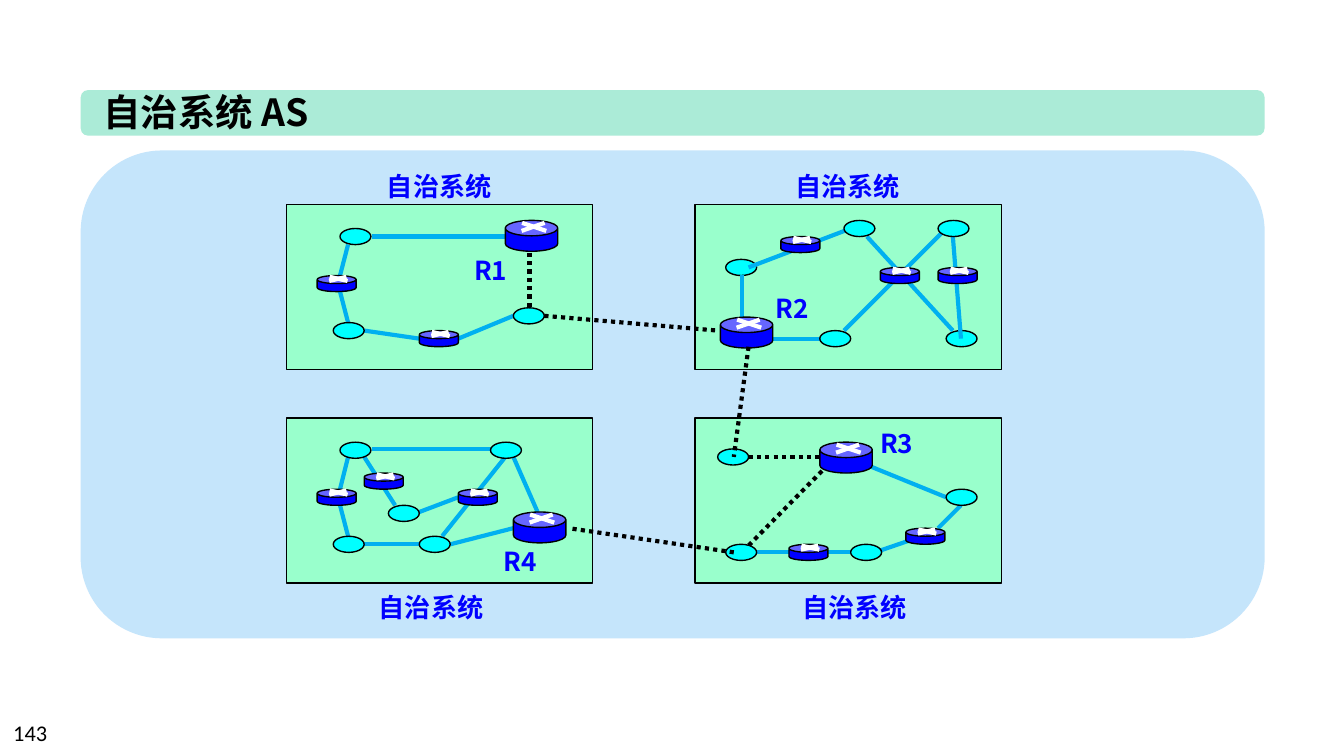
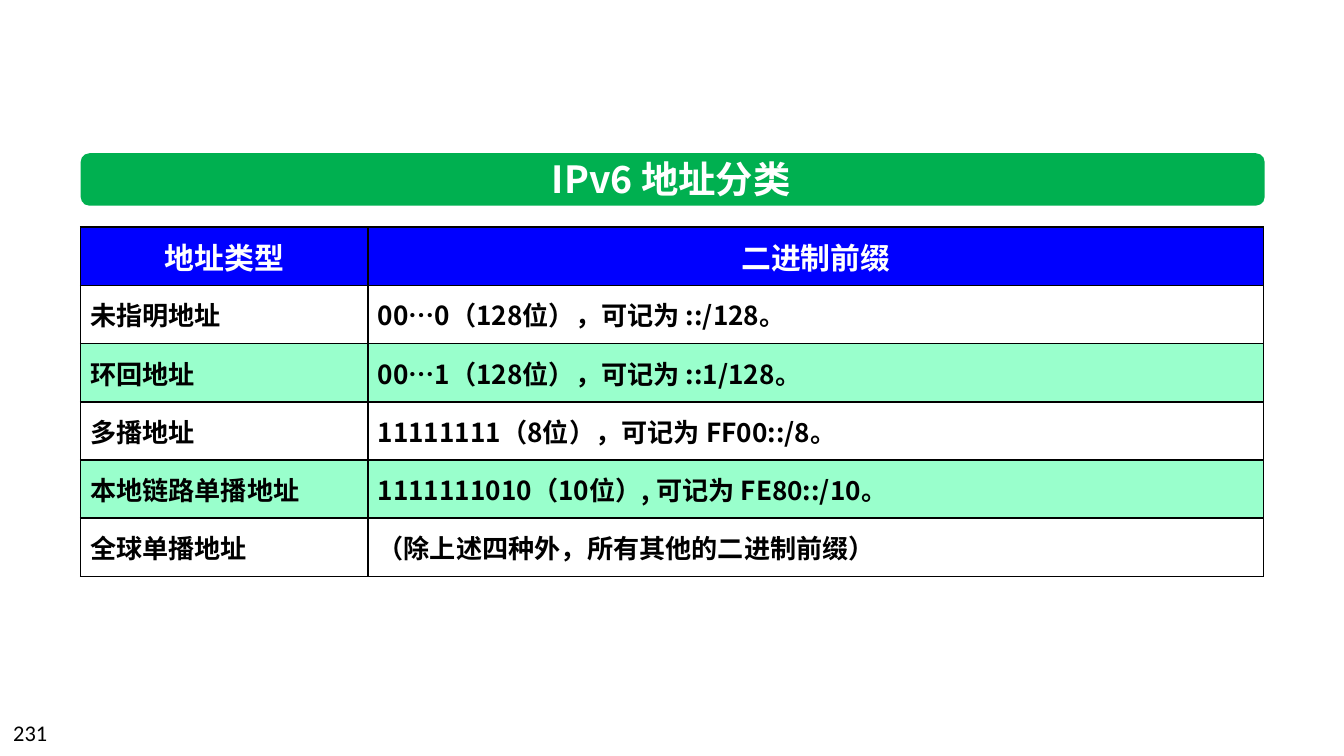
from lxml.etree import SubElement
from pptx import Presentation
from pptx.dml.color import RGBColor
from pptx.enum.dml import MSO_LINE
from pptx.enum.shapes import MSO_CONNECTOR, MSO_SHAPE
from pptx.enum.text import MSO_ANCHOR, MSO_AUTO_SIZE, PP_ALIGN
from pptx.oxml.ns import qn
from pptx.util import Inches, Pt

BLACK = RGBColor(0x00, 0x00, 0x00)
WHITE = RGBColor(0xFF, 0xFF, 0xFF)
BLUE = RGBColor(0x00, 0x00, 0xFF)
CYAN = RGBColor(0x00, 0xFF, 0xFF)
LINK_BLUE = RGBColor(0x00, 0xB0, 0xF0)
MINT = RGBColor(0x99, 0xFF, 0xCC)
PALE_BLUE = RGBColor(0xC5, 0xE5, 0xFB)
PALE_GREEN = RGBColor(0xAB, 0xEB, 0xD7)
GREEN = RGBColor(0x00, 0xB0, 0x50)

HEADING_FONT = "Noto Sans CJK SC"
NUMBER_FONT = "Calibri"
MARGIN, CONTENT_WIDTH = 0.6, 8.81
AREA_LEFT, AREA_TOP, AREA_SIZE = 2.13, 1.52, (2.28, 1.23)
AREA_STEP = (3.04, 1.59)
HOST, ROUTER, BORDER_ROUTER = (0.23, 0.12), (0.29, 0.12), (0.39, 0.23)
ROUTER_CROSS = [(0.32, 0.08, 0.78, 0.34), (0.75, 0.08, 0.31, 0.34)]

AREAS = [
    {
        "cell": (0, 1),
        "caption": (2.72, 4.35),
        "border": ("R4", (3.82, 3.81), (3.65, 4.01)),
        "back_hosts": [],
        "hosts": [(2.53, 3.29), (2.48, 3.99), (2.89, 3.76), (3.12, 3.99), (3.65, 3.29)],
        "routers": [(2.36, 3.64), (2.71, 3.52), (3.41, 3.64)],
        "links": [
            (2.77, 3.34, 3.76, 3.34), (2.59, 3.4, 2.53, 3.64),
            (2.53, 3.76, 2.59, 3.99), (2.71, 4.05, 3.12, 4.05),
            (3.35, 4.05, 3.82, 3.93), (2.71, 3.4, 2.94, 3.76),
            (3.12, 3.81, 3.41, 3.7), (3.76, 3.4, 3.29, 3.99),
            (3.82, 3.4, 4, 3.81),
        ],
        "dotted": [],
    },
    {
        "cell": (1, 1),
        "caption": (5.87, 4.35),
        "border": ("R3", (6.1, 3.29), (6.45, 3.13)),
        "back_hosts": [],
        "hosts": [(7.04, 3.64), (6.33, 4.05), (5.34, 3.34), (5.4, 4.05)],
        "routers": [(5.87, 4.05), (6.74, 3.93)],
        "links": [
            (5.63, 4.11, 6.33, 4.11), (6.51, 4.11, 6.86, 3.99),
            (6.98, 3.93, 7.15, 3.76), (6.45, 3.46, 7.04, 3.7),
        ],
        "dotted": [(5.57, 3.4, 6.1, 3.4), (6.16, 3.46, 5.52, 4.11)],
    },
    {
        "cell": (0, 0),
        "caption": (2.78, 1.22),
        "border": ("R1", (3.76, 1.64), (3.43, 1.84)),
        "back_hosts": [],
        "hosts": [(2.53, 1.7), (2.48, 2.4), (3.82, 2.29)],
        "routers": [(2.36, 2.05), (3.12, 2.46)],
        "links": [
            (2.77, 1.76, 3.76, 1.76), (2.59, 1.82, 2.53, 2.05),
            (2.53, 2.17, 2.59, 2.4), (2.71, 2.46, 3.12, 2.52),
            (3.41, 2.52, 3.82, 2.35),
        ],
        "dotted": [(3.94, 1.88, 3.94, 2.29)],
    },
    {
        "cell": (1, 0),
        "caption": (5.82, 1.22),
        "border": ("R2", (5.36, 2.36), (5.67, 2.13)),
        "back_hosts": [(5.4, 1.93), (7.04, 2.46)],
        "hosts": [(6.28, 1.64), (6.98, 1.64), (6.1, 2.46)],
        "routers": [(6.55, 1.99), (5.81, 1.76), (6.98, 1.99)],
        "links": [
            (6.45, 1.76, 7.09, 2.46), (6.33, 1.7, 5.57, 1.99),
            (7.09, 1.76, 7.15, 2.52), (5.75, 2.52, 6.16, 2.52),
            (6.28, 2.46, 7.04, 1.7), (5.52, 2.05, 5.52, 2.4),
        ],
        "dotted": [],
    },
]
AREA_CAPTION = "自治系统"
INTER_AREA_LINKS = [
    (4.05, 2.35, 5.34, 2.46), (5.57, 2.58, 5.46, 3.4), (5.46, 4.11, 4.23, 3.93),
]

ADDRESS_COLUMNS = [2.14, 6.66]
ADDRESS_TABLE_HEIGHT = 2.6
ADDRESS_TYPES = [
    ("地址类型", "二进制前缀"),
    ("未指明地址", "00…0（128位），可记为 ::/128。"),
    ("环回地址", "00…1（128位），可记为 ::1/128。"),
    ("多播地址", "11111111（8位），可记为 FF00::/8。"),
    ("本地链路单播地址", "1111111010（10位）, 可记为 FE80::/10。"),
    ("全球单播地址", "（除上述四种外，所有其他的二进制前缀）"),
]


def write(frame, text, size=14, color=BLACK, bold=True, font=HEADING_FONT,
          align=PP_ALIGN.LEFT):
    paragraph = frame.paragraphs[0]
    paragraph.alignment = align
    run = paragraph.add_run()
    run.text = text
    run.font.size = Pt(size)
    run.font.bold = bold
    run.font.color.rgb = color
    run.font.name = font
    SubElement(run.font._element, qn("a:ea"), typeface=font)


def add_label(shapes, text, place, extent, wrap=False, **style):
    label = shapes.add_textbox(*map(Inches, place + extent))
    label.text_frame.word_wrap = wrap
    write(label.text_frame, text, **style)


def add_block(shapes, kind, place, extent, fill, outline=None):
    block = shapes.add_shape(kind, *map(Inches, place + extent))
    block.shadow.inherit = False
    block.fill.solid()
    block.fill.fore_color.rgb = fill
    if outline is None:
        block.line.fill.background()
    else:
        block.line.color.rgb = outline
        block.line.width = Pt(0.75)
    return block


def add_link(shapes, ends, color=LINK_BLUE, dash=None):
    link = shapes.add_connector(MSO_CONNECTOR.STRAIGHT, *map(Inches, ends))
    link.line.color.rgb = color
    link.line.width = Pt(2.25)
    if dash:
        link.line.dash_style = dash
    SubElement(link._element.spPr, qn("a:effectLst"))


def add_dotted(shapes, ends):
    add_link(shapes, ends, BLACK, MSO_LINE.ROUND_DOT)


def add_host(shapes, place):
    add_block(shapes, MSO_SHAPE.OVAL, place, HOST, CYAN, BLACK)


def add_router(shapes, place, extent=ROUTER):
    body = add_block(shapes, MSO_SHAPE.CAN, place, extent, BLUE, BLACK)
    body.adjustments[0] = 0.5
    (left, top), (width, height) = place, extent
    for x1, y1, x2, y2 in ROUTER_CROSS:
        add_link(shapes, (left + x1 * width, top + y1 * height,
                          left + x2 * width, top + y2 * height), WHITE)


def add_area(slide, area):
    shapes = slide.shapes.add_group_shape().shapes
    column, row = area["cell"]
    place = (AREA_LEFT + column * AREA_STEP[0], AREA_TOP + row * AREA_STEP[1])
    add_block(shapes, MSO_SHAPE.RECTANGLE, place, AREA_SIZE, MINT, BLACK)
    for host in area["back_hosts"]:
        add_host(shapes, host)
    for ends in area["links"]:
        add_link(shapes, ends)
    for ends in area["dotted"]:
        add_dotted(shapes, ends)
    for host in area["hosts"]:
        add_host(shapes, host)
    for router in area["routers"]:
        add_router(shapes, router)
    name, router, name_place = area["border"]
    add_router(shapes, router, BORDER_ROUTER)
    add_label(shapes, name, name_place, (0.46, 0.34), color=BLUE)
    add_label(shapes, AREA_CAPTION, area["caption"], (0.99, 0.34), color=BLUE)


def add_band_title(slide, text, band, place, extent, fill, wrap=True, **style):
    top, height = band
    add_block(slide.shapes, MSO_SHAPE.ROUNDED_RECTANGLE, (MARGIN, top),
              (CONTENT_WIDTH, height), fill)
    title = slide.shapes.title
    title.left, title.top, title.width, title.height = map(Inches, place + extent)
    frame = title.text_frame
    frame.word_wrap = wrap
    frame.auto_size = MSO_AUTO_SIZE.SHAPE_TO_FIT_TEXT
    frame.vertical_anchor = MSO_ANCHOR.TOP
    write(frame, text, size=20, **style)
    slide.shapes.element.append(title.element)


def add_page_number(slide, number):
    add_label(slide.shapes, number, (0, 5.3), (2.33, 0.3), wrap=True,
              size=12, bold=False, font=NUMBER_FONT)


def add_cell_borders(cell):
    properties = cell._tc.get_or_add_tcPr()
    for side in ("lnL", "lnR", "lnT", "lnB"):
        border = SubElement(properties, qn(f"a:{side}"), w=str(Pt(1)))
        fill = SubElement(border, qn("a:solidFill"))
        SubElement(fill, qn("a:srgbClr"), val=str(BLACK))


def add_address_table(slide):
    table = slide.shapes.add_table(
        len(ADDRESS_TYPES), len(ADDRESS_COLUMNS), Inches(MARGIN), Inches(1.69),
        Inches(CONTENT_WIDTH), Inches(ADDRESS_TABLE_HEIGHT)).table
    table.first_row = table.horz_banding = False
    for column, width in zip(table.columns, ADDRESS_COLUMNS):
        column.width = Inches(width)
    for row, texts in enumerate(ADDRESS_TYPES):
        for column, text in enumerate(texts):
            cell = table.cell(row, column)
            cell.vertical_anchor = MSO_ANCHOR.MIDDLE
            cell.margin_left = cell.margin_right = Inches(0.07)
            cell.margin_top = cell.margin_bottom = 0
            add_cell_borders(cell)
            if row % 2:
                cell.fill.background()
            else:
                cell.fill.solid()
                cell.fill.fore_color.rgb = MINT if row else BLUE
            if row:
                write(cell.text_frame, text, align=PP_ALIGN.JUSTIFY)
            else:
                write(cell.text_frame, text, size=16, color=WHITE, align=PP_ALIGN.CENTER)


def main():
    deck = Presentation()
    deck.slide_width = Inches(10)
    deck.slide_height = deck.slide_width * 9 // 16
    title_only = deck.slide_layouts[5]

    systems = deck.slides.add_slide(title_only)
    add_block(systems.shapes, MSO_SHAPE.ROUNDED_RECTANGLE, (MARGIN, 1.12),
              (CONTENT_WIDTH, 3.63), PALE_BLUE)
    add_band_title(systems, "自治系统 AS", (0.67, 0.34), (0.67, 0.61), (1.79, 0.44),
                   PALE_GREEN, wrap=False)
    for area in AREAS:
        add_area(systems, area)
    for ends in INTER_AREA_LINKS:
        add_dotted(systems.shapes, ends)
    add_page_number(systems, "143")

    addresses = deck.slides.add_slide(title_only)
    add_band_title(addresses, "IPv6 地址分类", (1.14, 0.39), (2.12, 1.11), (5.75, 0.44),
                   GREEN, color=WHITE, align=PP_ALIGN.CENTER)
    add_address_table(addresses)
    add_page_number(addresses, "231")

    deck.save("out.pptx")


if __name__ == "__main__":
    main()
